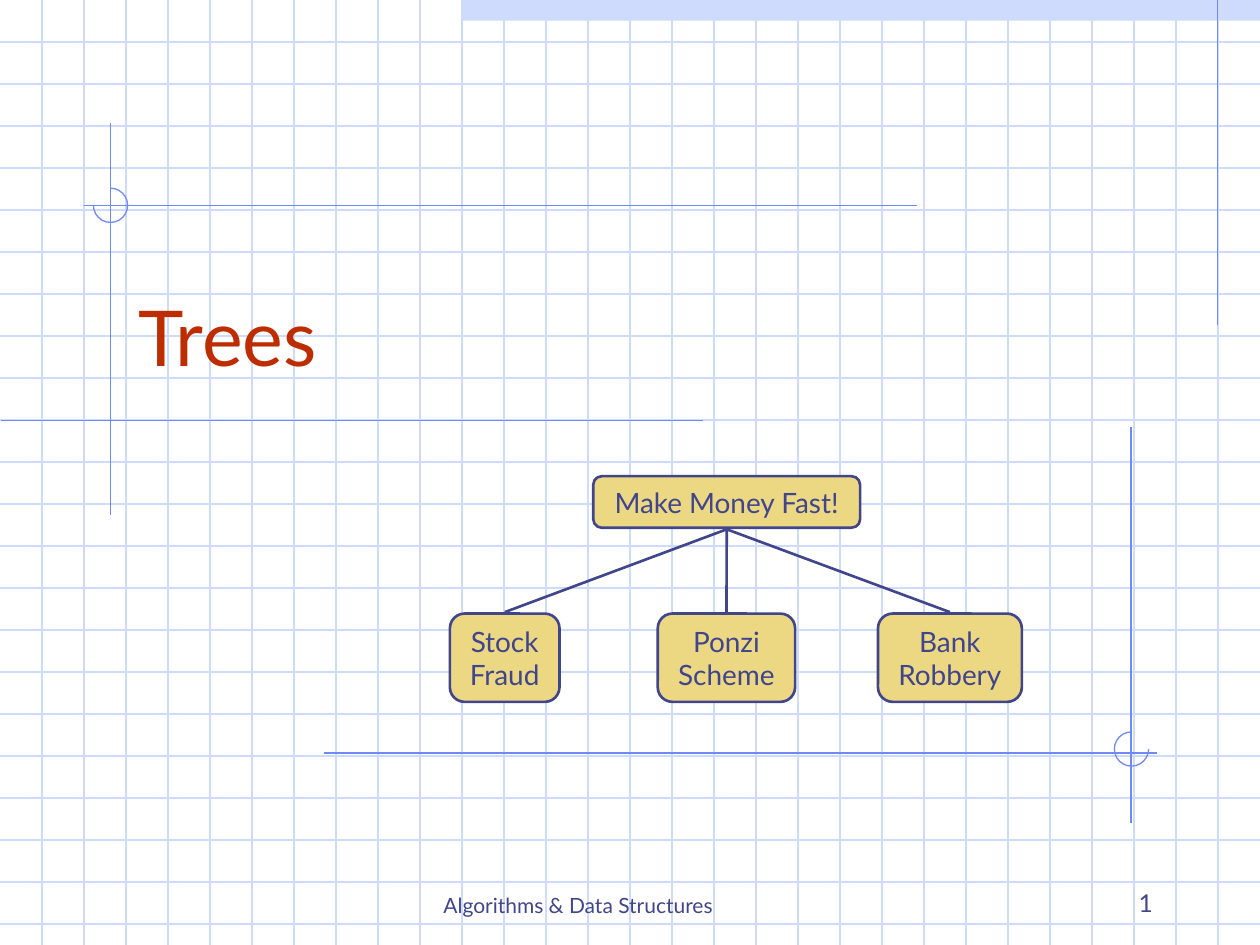
from dataclasses import dataclass

from lxml import etree
from pptx import Presentation
from pptx.dml.color import RGBColor
from pptx.enum.shapes import MSO_CONNECTOR, MSO_SHAPE
from pptx.enum.text import MSO_ANCHOR, MSO_AUTO_SIZE, PP_ALIGN
from pptx.oxml.ns import qn
from pptx.util import Cm, Pt

STRAIGHT = MSO_CONNECTOR.STRAIGHT
RECT, ROUNDED, ARC = MSO_SHAPE.RECTANGLE, MSO_SHAPE.ROUNDED_RECTANGLE, MSO_SHAPE.ARC
LEFT, CENTER, RIGHT = PP_ALIGN.LEFT, PP_ALIGN.CENTER, PP_ALIGN.RIGHT
BOTTOM, MIDDLE = MSO_ANCHOR.BOTTOM, MSO_ANCHOR.MIDDLE
FIT = MSO_AUTO_SIZE.SHAPE_TO_FIT_TEXT


@dataclass(frozen=True)
class Theme:
    font: str = "Lato"
    grid: RGBColor = RGBColor(0xCF, 0xDB, 0xFD)
    accent: RGBColor = RGBColor(0x6F, 0x89, 0xF7)
    ink: RGBColor = RGBColor(0x40, 0x45, 0x8C)
    title: RGBColor = RGBColor(0xBE, 0x2D, 0x00)
    node: RGBColor = RGBColor(0xEC, 0xD8, 0x82)
    title_size: int = 44
    node_size: int = 16
    number_size: int = 14
    footer_size: int = 12
    thin: float = 0.75
    thick: float = 1.5


THEME = Theme()
WIDTH, HEIGHT = 25.4, 19.05
GRID_STEP = WIDTH / 30
ACCENT_LINES = [
    (24.55, 0, 24.55, 6.55),
    (2.23, 2.47, 2.23, 10.39),
    (14.17, 8.48, 0.03, 8.48),
    (18.49, 4.14, 1.7, 4.14),
    (6.53, 15.18, 23.32, 15.18),
    (22.8, 8.61, 22.8, 16.59),
]
ARCS = [(2.23, 4.14, 270, 180), (22.81, 15.1, 0, 270)]
ARC_SIZE = 0.69
ROOT = ("Make Money Fast!", 11.96, 9.6, 5.38, 1.04)
CHILD_TOP, CHILD_HEIGHT = 12.37, 1.78
CHILDREN = [
    ("Stock\nFraud", 9.07, 2.21),
    ("Ponzi\nScheme", 13.26, 2.77),
    ("Bank\nRobbery", 17.7, 2.9),
]
EDGE_GAP = 0.03


def add_line(s, x1, y1, x2, y2, color, width):
    line = s.shapes.add_connector(STRAIGHT, Cm(x1), Cm(y1), Cm(x2), Cm(y2))
    line.line.color.rgb = color
    line.line.width = Pt(width)
    etree.SubElement(line._element.spPr, qn("a:effectLst"))


def add_shape(s, kind, x, y, w, h, fill=None, line=None, width=THEME.thin):
    sp = s.shapes.add_shape(kind, Cm(x), Cm(y), Cm(w), Cm(h))
    sp.shadow.inherit = False
    if fill is None:
        sp.fill.background()
    else:
        sp.fill.solid()
        sp.fill.fore_color.rgb = fill
    if line is None:
        sp.line.fill.background()
    else:
        sp.line.color.rgb = line
        sp.line.width = Pt(width)
    return sp


def set_text(sp, text, size, color, align, anchor, wrap=True):
    tf = sp.text_frame
    tf.word_wrap = wrap
    tf.vertical_anchor = anchor
    p = tf.paragraphs[0]
    p.text = text
    p.alignment = align
    p.font.name = THEME.font
    p.font.size = Pt(size)
    p.font.color.rgb = color


def add_grid(s):
    add_shape(s, RECT, 9.31, 0, 16.09, 0.42, fill=THEME.grid)
    for i in range(1, round(HEIGHT / GRID_STEP)):
        y = i * GRID_STEP
        add_line(s, 0, y, WIDTH, y, THEME.grid, THEME.thin)
    for i in range(1, round(WIDTH / GRID_STEP)):
        x = i * GRID_STEP
        add_line(s, x, 0, x, HEIGHT, THEME.grid, THEME.thin)


def add_accents(s):
    for ends in ACCENT_LINES:
        add_line(s, *ends, THEME.accent, THEME.thin)
    for cx, cy, start, end in ARCS:
        arc = add_shape(s, ARC, cx - ARC_SIZE / 2, cy - ARC_SIZE / 2,
                        ARC_SIZE, ARC_SIZE, line=THEME.accent)
        for i, degrees in enumerate((start, end)):
            arc.adjustments[i] = degrees * 0.6


def add_title(s, text):
    title = s.shapes.title
    title.left, title.top, title.width, title.height = Cm(2.54), Cm(4.65), Cm(21.59), Cm(3.18)
    set_text(title, text, THEME.title_size, THEME.title, LEFT, BOTTOM)
    s.shapes._spTree.append(title._element)


def add_label(s, text, x, w, size, align):
    sp = s.shapes.add_textbox(Cm(x), Cm(17.35), Cm(w), Cm(1.27))
    set_text(sp, text, size, THEME.ink, align, BOTTOM)


def add_node(s, text, x, y, w, h):
    sp = add_shape(s, ROUNDED, x, y, w, h, THEME.node, THEME.ink, THEME.thick)
    set_text(sp, text, THEME.node_size, THEME.ink, CENTER, MIDDLE, wrap=False)
    sp.text_frame.auto_size = FIT


def add_tree(s):
    add_node(s, *ROOT)
    _, x, y, w, h = ROOT
    root_x, root_bottom = x + w / 2, y + h + EDGE_GAP
    for text, left, width in CHILDREN:
        add_node(s, text, left, CHILD_TOP, width, CHILD_HEIGHT)
        add_line(s, root_x, root_bottom, left + width / 2, CHILD_TOP - EDGE_GAP,
                 THEME.ink, THEME.thick)


def main():
    prs = Presentation()
    prs.slide_width, prs.slide_height = Cm(WIDTH), Cm(HEIGHT)
    s = prs.slides.add_slide(prs.slide_layouts[5])
    add_grid(s)
    add_accents(s)
    add_label(s, "Algorithms & Data Structures", 8.69, 8.05, THEME.footer_size, LEFT)
    add_label(s, "1", 18.21, 5.28, THEME.number_size, RIGHT)
    add_title(s, "Trees")
    add_tree(s)
    prs.save("out.pptx")


if __name__ == "__main__":
    main()
